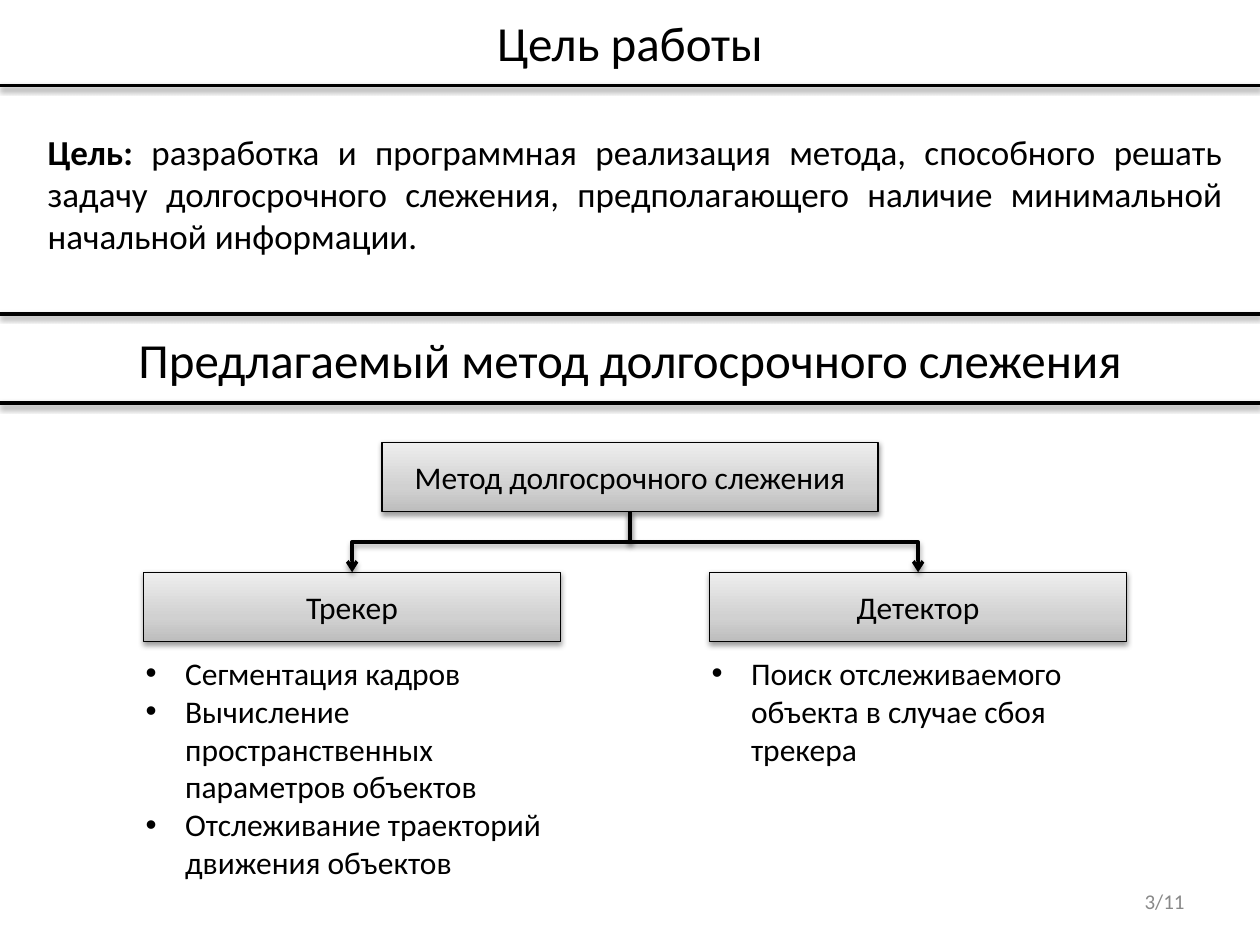
import lxml.etree
import pptx
import pptx.dml.color
import pptx.enum.shapes
import pptx.enum.text
import pptx.oxml
import pptx.oxml.ns
import pptx.util

Pt = pptx.util.Pt
ALIGN = pptx.enum.text.PP_ALIGN
ANCHOR = pptx.enum.text.MSO_ANCHOR
CONNECTOR = pptx.enum.shapes.MSO_CONNECTOR
BLACK = pptx.dml.color.RGBColor(0x00, 0x00, 0x00)
GRAY = pptx.dml.color.RGBColor(0x89, 0x89, 0x89)
BOX_STOPS = (
    (0, pptx.dml.color.RGBColor(0xBD, 0xBD, 0xBD)),
    (35, pptx.dml.color.RGBColor(0xD1, 0xD1, 0xD1)),
    (100, pptx.dml.color.RGBColor(0xEE, 0xEE, 0xEE)),
)
FONT = "Calibri"
SLIDE_WIDTH, SLIDE_HEIGHT = 720, 540
BRANCHES = (
    ("Трекер", ("Сегментация кадров",
                "Вычисление пространственных параметров объектов",
                "Отслеживание траекторий движения объектов")),
    ("Детектор", ("Поиск отслеживаемого объекта в случае сбоя трекера",)),
)


def parse_drawing(markup):
    return pptx.oxml.parse_xml(
        markup.replace(">", " " + pptx.oxml.ns.nsdecls("a") + ">", 1))


def add_shadow(shape):
    properties = shape._element.spPr
    for effects in properties.findall(pptx.oxml.ns.qn("a:effectLst")):
        properties.remove(effects)
    properties.append(parse_drawing(
        '<a:effectLst><a:outerShdw blurRad="40000" dist="20000" dir="5400000" rotWithShape="0">'
        f'<a:srgbClr val="{BLACK}"><a:alpha val="38000"/></a:srgbClr>'
        '</a:outerShdw></a:effectLst>'))


def place(shape, box):
    shape.left, shape.top, shape.width, shape.height = map(Pt, box)


def format_text(frame, size, align, anchor, color=BLACK):
    frame.word_wrap = True
    frame.auto_size = pptx.enum.text.MSO_AUTO_SIZE.NONE
    frame.vertical_anchor = anchor
    for paragraph in frame.paragraphs:
        paragraph.alignment = align
        for run in paragraph.runs:
            run.font.name = FONT
            run.font.size = Pt(size)
            run.font.color.rgb = color


def style_line(line):
    line.line.color.rgb = BLACK
    line.line.width = Pt(2)
    add_shadow(line)


def add_rule(shapes, left, y, width):
    rule = shapes.add_connector(
        CONNECTOR.STRAIGHT, Pt(left), Pt(y), Pt(left + width), Pt(y))
    style_line(rule)


def fill_heading(heading, box, text):
    place(heading, box)
    heading.text_frame.text = text
    format_text(heading.text_frame, 28, ALIGN.CENTER, ANCHOR.MIDDLE)


def add_goal_title(slide, box):
    left, top, width, height = box
    fill_heading(slide.shapes.title, box, "Цель работы")
    add_rule(slide.shapes, left, top + height, width)


def add_goal(slide, box):
    goal = slide.placeholders[1]
    place(goal, box)
    paragraph = goal.text_frame.paragraphs[0]
    label, statement = paragraph.add_run(), paragraph.add_run()
    label.text = "Цель: "
    label.font.bold = True
    statement.text = ("разработка и программная реализация метода, способного решать "
                      "задачу долгосрочного слежения, предполагающего наличие "
                      "минимальной начальной информации.")
    format_text(goal.text_frame, 20, ALIGN.JUSTIFY, ANCHOR.TOP)
    indents = paragraph._p.get_or_add_pPr()
    indents.set("marL", "0")
    indents.set("indent", "0")
    indents.append(parse_drawing("<a:buNone></a:buNone>"))


def add_method_title(slide, box):
    left, top, width, height = box
    heading = slide.shapes.add_textbox(*map(Pt, box))
    fill_heading(heading, box, "Предлагаемый метод долгосрочного слежения")
    for y in (top, top + height):
        add_rule(slide.shapes, left, y, width)


def add_node(shapes, box, text):
    node = shapes.add_shape(pptx.enum.shapes.MSO_SHAPE.RECTANGLE, *map(Pt, box))
    stops = "".join(f'<a:gs pos="{position * 1000}"><a:srgbClr val="{color}"/></a:gs>'
                    for position, color in BOX_STOPS)
    node.line.color.rgb = BLACK
    node.line.width = Pt(0.75)
    node.line._ln.addprevious(parse_drawing(
        f'<a:gradFill rotWithShape="1"><a:gsLst>{stops}</a:gsLst>'
        '<a:lin ang="16200000" scaled="0"/></a:gradFill>'))
    add_shadow(node)
    node.text_frame.text = text
    format_text(node.text_frame, 18, ALIGN.CENTER, ANCHOR.MIDDLE)
    return node


def add_task_list(shapes, box, tasks):
    task_list = shapes.add_textbox(*map(Pt, box))
    task_list.text_frame.text = "\n".join(tasks)
    format_text(task_list.text_frame, 18, ALIGN.LEFT, ANCHOR.TOP)
    for paragraph in task_list.text_frame.paragraphs:
        indents = paragraph._p.get_or_add_pPr()
        indents.set("marL", str(Pt(22.5)))
        indents.set("indent", str(-Pt(22.5)))
        indents.append(parse_drawing('<a:buFont typeface="Arial"/>'.replace("/>", "></a:buFont>")))
        indents.append(parse_drawing('<a:buChar char="•"></a:buChar>'))


def add_branch_arrow(shapes, parent, child):
    start_x = parent.left + parent.width // 2
    start_y = parent.top + parent.height
    end_x, end_y = child.left + child.width // 2, child.top
    arrow = shapes.add_connector(CONNECTOR.ELBOW, start_x, start_y, end_x, end_y)
    arrow.begin_connect(parent, 2)
    arrow.end_connect(child, 0)
    drop, reach = end_y - start_y, abs(end_x - start_x)
    arrow.left = (start_x + end_x - drop) // 2
    arrow.top = (start_y + end_y - reach) // 2
    arrow.width, arrow.height = drop, reach
    to_right = end_x > start_x
    transform = arrow._element.spPr.xfrm
    transform.set("rot", "16200000" if to_right else "5400000")
    transform.set("flipH", "1" if to_right else "0")
    transform.set("flipV", "0")
    style_line(arrow)
    lxml.etree.SubElement(arrow.line._ln, pptx.oxml.ns.qn("a:tailEnd"), type="arrow")


def add_method_tree(slide, box):
    left, top, width, height = box
    node_height, root_width, branch_width = 39.6, 283.6, 238.4
    root_left = (SLIDE_WIDTH - root_width) / 2
    root = add_node(slide.shapes, (root_left, top, root_width, node_height),
                    "Метод долгосрочного слежения")
    branch_top = top + 74.2
    list_top = branch_top + 43.2
    step = (width - branch_width) / (len(BRANCHES) - 1)
    for index, (name, tasks) in enumerate(BRANCHES):
        branch_left = left + index * step
        branch = add_node(slide.shapes,
                          (branch_left, branch_top, branch_width, node_height), name)
        add_task_list(slide.shapes,
                      (branch_left - 5.8, list_top, branch_width + 5.8,
                       top + height - list_top), tasks)
        add_branch_arrow(slide.shapes, root, branch)


def add_page_number(slide, box):
    number = slide.shapes.add_textbox(*map(Pt, box))
    number.text_frame.text = "3/11"
    format_text(number.text_frame, 12, ALIGN.RIGHT, ANCHOR.MIDDLE, GRAY)


def main():
    presentation = pptx.Presentation()
    presentation.slide_width = Pt(SLIDE_WIDTH)
    presentation.slide_height = Pt(SLIDE_HEIGHT)
    slide = presentation.slides.add_slide(presentation.slide_layouts[1])
    add_goal_title(slide, (0, -1.4, SLIDE_WIDTH, 50.4))
    add_goal(slide, (20, 71.2, 686, 79.2))
    add_method_title(slide, (0, 179.4, SLIDE_WIDTH, 51))
    add_method_tree(slide, (82, 252.8, 561.8, 255.6))
    add_page_number(slide, (516, 500.4, 168, 28.8))
    presentation.save("out.pptx")


if __name__ == "__main__":
    main()
